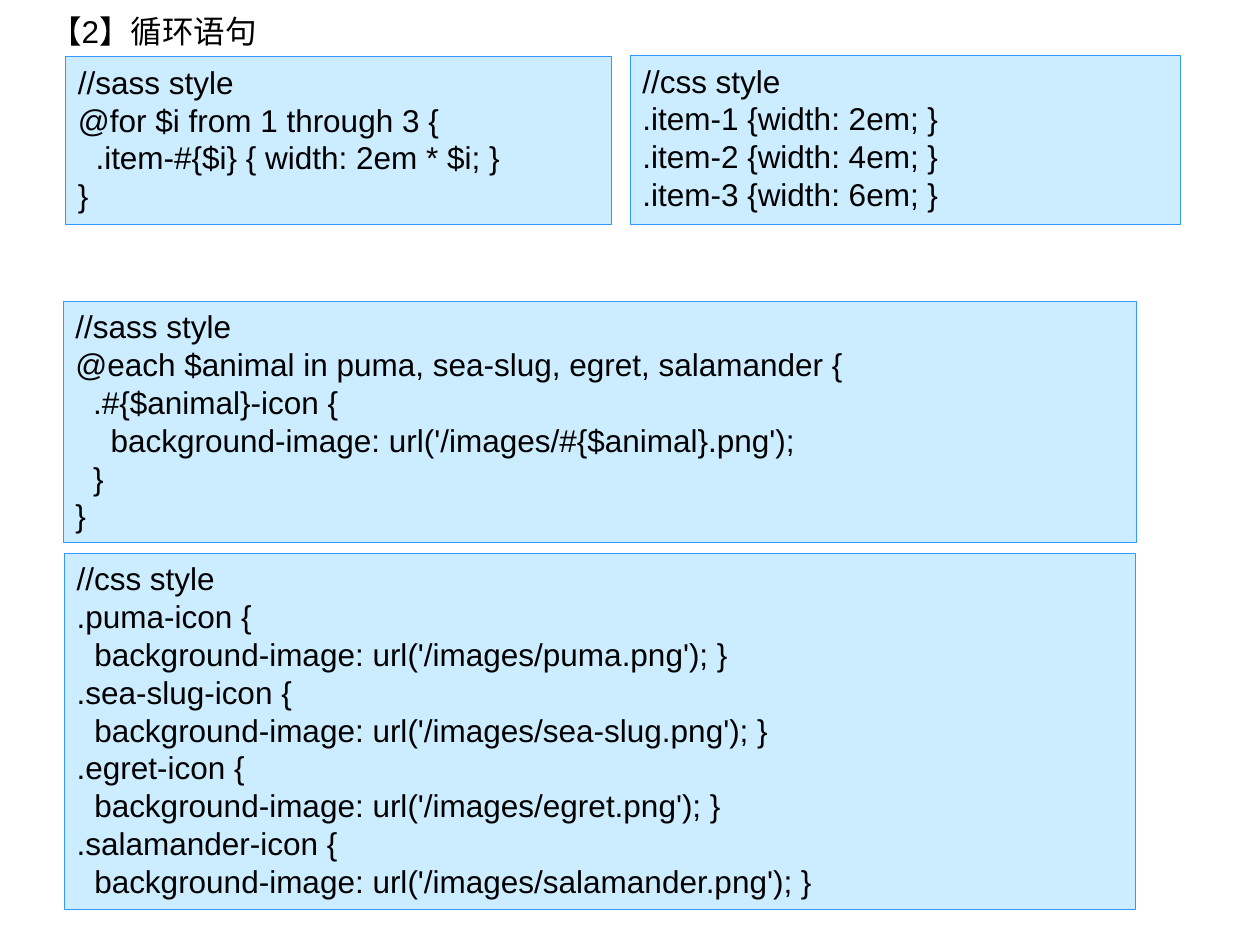
from dataclasses import dataclass

from pptx import Presentation
from pptx import util as u
from pptx.dml.color import RGBColor
from pptx.enum import shapes, text


@dataclass(frozen=True)
class Theme:
    font: str = "Arial"
    size: int = 18
    ink: str = "000000"
    fill: str = "CCECFF"
    edge: str = "3399FF"
    line: float = 0.25
    step: float = 0.14


THEME = Theme()
ANIMALS = ["puma", "sea-slug", "egret", "salamander"]

FOR_SASS = [
    (0, "//sass style"),
    (0, "@for $i from 1 through 3 {"),
    (1, ".item-#{$i} { width: 2em * $i; }"),
    (0, "}"),
]
FOR_CSS = [(0, "//css style")] + [
    (0, f".item-{i} {{width: {2 * i}em; }}") for i in range(1, 4)
]
EACH_SASS = [
    (0, "//sass style"),
    (0, f"@each $animal in {', '.join(ANIMALS)} {{"),
    (1, ".#{$animal}-icon {"),
    (2, "background-image: url('/images/#{$animal}.png');"),
    (1, "}"),
    (0, "}"),
]
EACH_CSS = [(0, "//css style")] + [
    row
    for name in ANIMALS
    for row in (
        (0, f".{name}-icon {{"),
        (1, f"background-image: url('/images/{name}.png'); }}"),
    )
]


def write(para, words, size=THEME.size, color=THEME.ink, depth=0):
    para.alignment = text.PP_ALIGN.LEFT
    if depth:
        props = para._p.get_or_add_pPr()
        props.set("marL", str(u.Inches(depth * THEME.step)))
        props.set("indent", "0")
    run = para.add_run()
    run.text = words
    run.font.name = THEME.font
    run.font.size = u.Pt(size)
    run.font.color.rgb = RGBColor.from_string(color)


def add_title(slide, words, *area):
    box = slide.shapes.add_textbox(*map(u.Inches, area))
    frame = box.text_frame
    frame.word_wrap = False
    frame.auto_size = text.MSO_AUTO_SIZE.SHAPE_TO_FIT_TEXT
    write(frame.paragraphs[0], words)


def add_code(slide, rows, *area):
    box = slide.shapes.add_shape(
        shapes.MSO_SHAPE.RECTANGLE, *map(u.Inches, area)
    )
    box.shadow.inherit = False
    box.fill.solid()
    box.fill.fore_color.rgb = RGBColor.from_string(THEME.fill)
    box.line.color.rgb = RGBColor.from_string(THEME.edge)
    box.line.width = u.Pt(THEME.line)
    frame = box.text_frame
    frame.word_wrap = True
    frame.vertical_anchor = text.MSO_ANCHOR.TOP
    for i, (depth, words) in enumerate(rows):
        para = frame.add_paragraph() if i else frame.paragraphs[0]
        write(para, words, depth=depth)


def main():
    deck = Presentation()
    deck.slide_width = u.Inches(10)
    deck.slide_height = u.Inches(7.5)
    slide = deck.slides.add_slide(deck.slide_layouts[6])
    add_title(slide, "【2】循环语句", 0.3, 0.05, 1.96, 0.4)
    add_code(slide, FOR_SASS, 0.52, 0.45, 4.33, 1.33)
    add_code(slide, FOR_CSS, 5, 0.44, 4.37, 1.34)
    add_code(slide, EACH_SASS, 0.5, 2.39, 8.52, 1.91)
    add_code(slide, EACH_CSS, 0.51, 4.39, 8.5, 2.83)
    deck.save("out.pptx")


if __name__ == "__main__":
    main()
